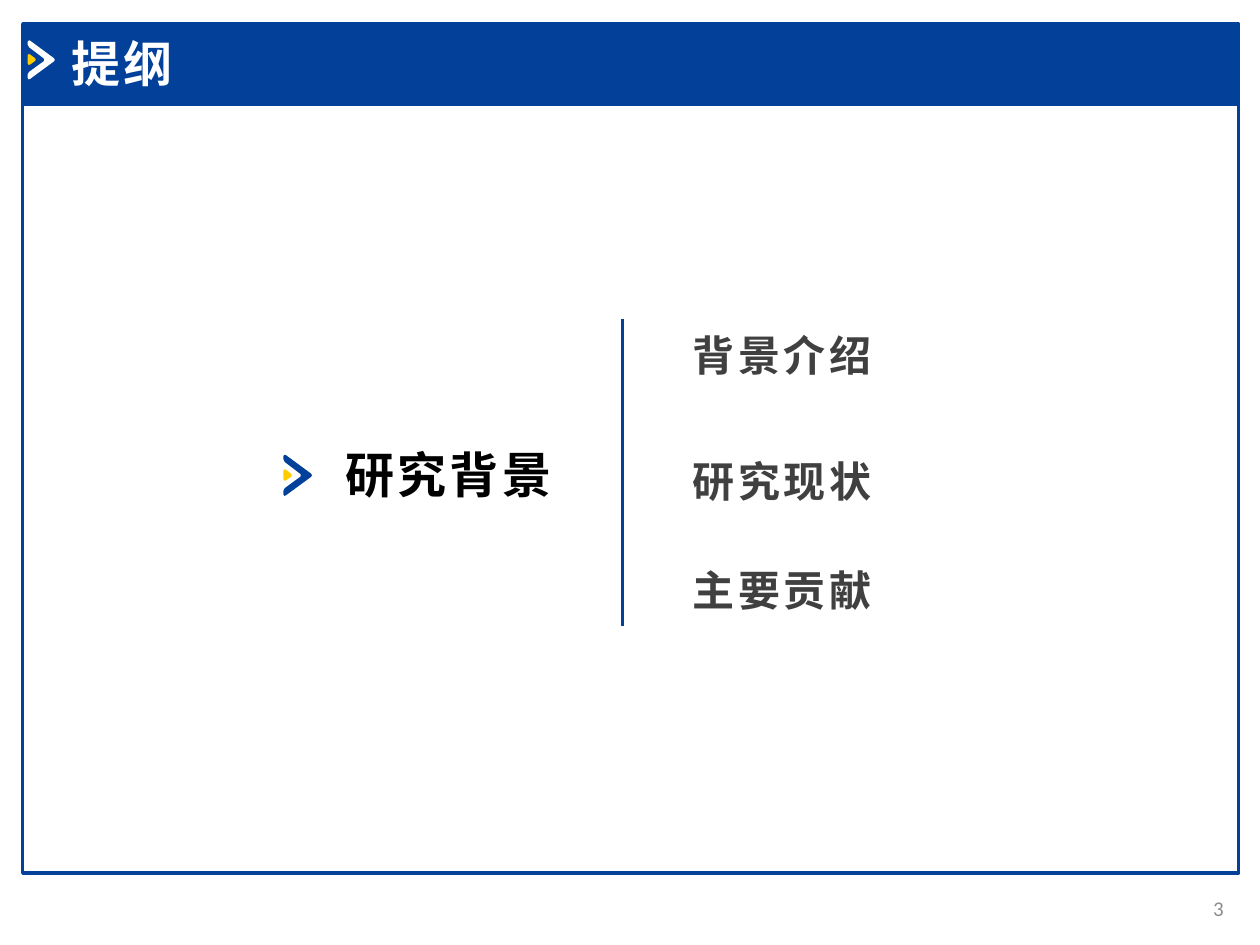
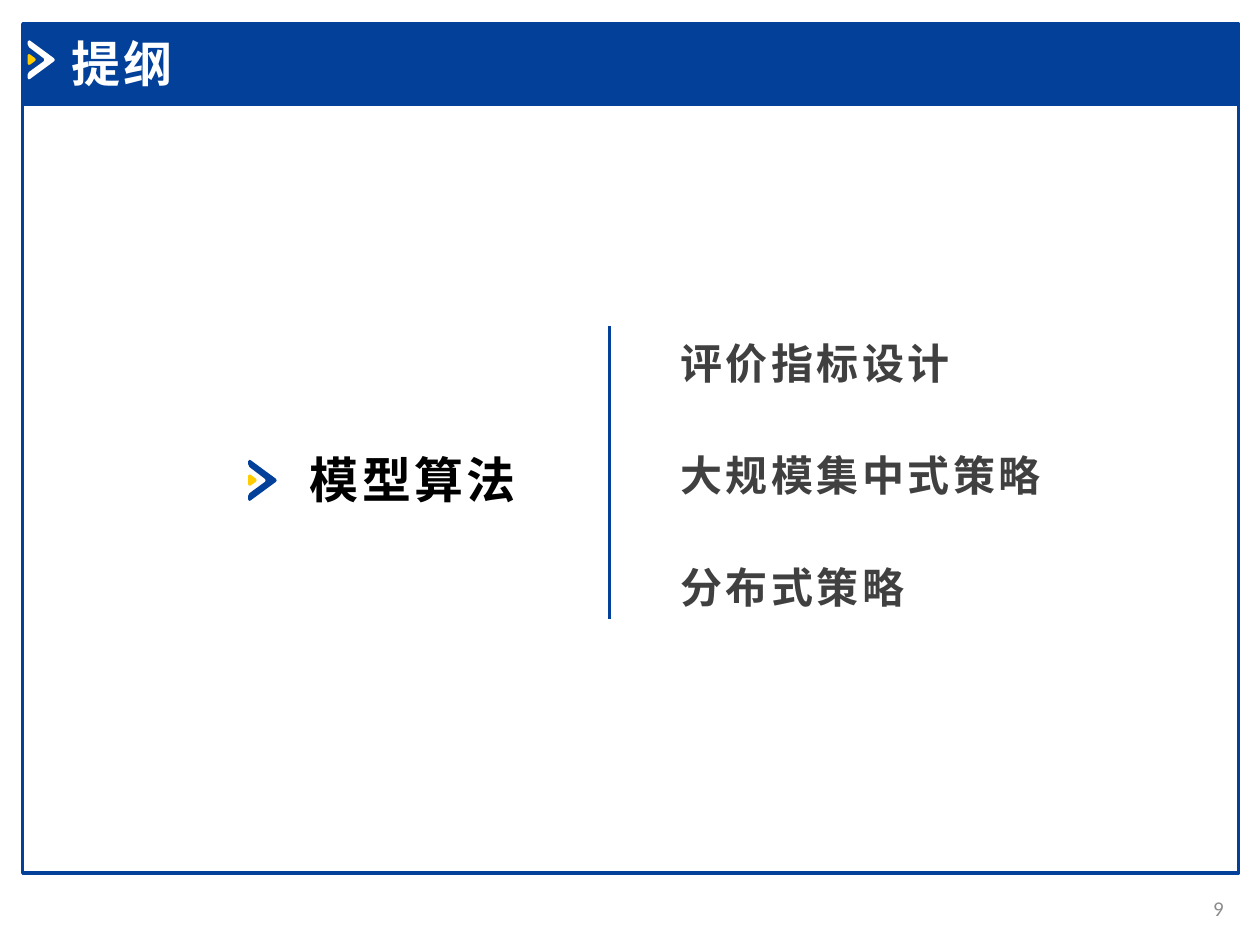
"""Build two outline slides with a shared title band, frame and page number."""
from lxml.etree import SubElement
from pptx import Presentation
from pptx.dml.color import RGBColor
from pptx.enum.shapes import MSO_CONNECTOR as Connector, MSO_SHAPE as Shape
from pptx.enum.text import MSO_ANCHOR as Anchor, MSO_AUTO_SIZE as AutoSize, PP_ALIGN as Align
from pptx.oxml.ns import qn
from pptx.util import Inches, Pt

BLUE, YELLOW, WHITE, BLACK = "02409A", "FFCC00", "FFFFFF", "000000"
DARK_GREY, LIGHT_GREY = "404040", "8C8C8C"
LATIN, CHINESE = "Calibri", "Noto Sans CJK SC"

TITLE = "提纲"
SECTIONS = [
    {
        "page": "3", "heading": "研究背景", "heading_at": (2.64, 3.48),
        "rule": (4.94, 2.53, 4.97),
        "topics": [("背景介绍", 2.57), ("研究现状", 3.57), ("主要贡献", 4.43)],
    },
    {
        "page": "9", "heading": "模型算法", "heading_at": (2.36, 3.52),
        "rule": (4.84, 2.59, 4.91),
        "topics": [("评价指标设计", 2.63), ("大规模集中式策略", 3.52), ("分布式策略", 4.41)],
    },
]

TITLE_STYLE = {"name": LATIN, "size": Pt(28), "bold": True}
HEADING_STYLE = {"name": CHINESE, "size": Pt(28), "bold": True}
TOPIC_STYLE = {"name": CHINESE, "size": Pt(24), "bold": True}
PAGE_STYLE = {"name": LATIN, "size": Pt(12), "bold": False}

FRAME_LEFT, FRAME_WIDTH = 0.18, 9.65
BANDS = [(0.83, 6.1, None), (0.19, 0.64, BLUE)]
TOPIC_INDENT = 0.46

ARROW = [(10, 0), (0, 10), (0, 35), (10, 57), (135, 152), (138, 163), (135, 174), (10, 265),
         (0, 285), (0, 315), (8, 326), (20, 322), (220, 175), (226, 163), (220, 150), (20, 3)]
ARROW_CORE = [(8, 115), (0, 125), (0, 195), (8, 205), (20, 203), (62, 173), (67, 161),
              (62, 150), (20, 118)]


def color(hex_value):
    return RGBColor.from_string(hex_value)


def add_text(slide, text, box, style, text_color, spacing=2, align=Align.LEFT,
             anchor=Anchor.TOP, auto_size=AutoSize.SHAPE_TO_FIT_TEXT):
    frame = slide.shapes.add_textbox(*map(Inches, box)).text_frame
    for name, value in {"word_wrap": True, "auto_size": auto_size,
                        "vertical_anchor": anchor}.items():
        setattr(frame, name, value)
    paragraph = frame.paragraphs[0]
    paragraph.alignment = align
    run = paragraph.add_run()
    run.text = text
    for name, value in style.items():
        setattr(run.font, name, value)
    run.font.color.rgb = color(text_color)
    properties = run._r.get_or_add_rPr()
    properties.set("spc", str(spacing * 100))
    SubElement(properties, qn("a:ea")).set("typeface", CHINESE)


def add_outline(slide, points, left, top, scale, fill):
    builder = slide.shapes.build_freeform(*points[0], scale=Inches(scale) / 1000)
    builder.add_line_segments(points[1:], close=True)
    shape = builder.convert_to_shape(Inches(left), Inches(top))
    shape.shadow.inherit = False
    shape.fill.solid()
    shape.fill.fore_color.rgb = color(fill)
    shape.line.fill.background()


def add_chevron(slide, left, top, fill, scale=1):
    add_outline(slide, ARROW, left, top, scale, fill)
    add_outline(slide, ARROW_CORE, left, top, scale, YELLOW)


def add_rule(slide, x, top, bottom):
    rule = slide.shapes.add_connector(Connector.STRAIGHT, *map(Inches, (x, top, x, bottom)))
    rule.line.color.rgb = color(BLUE)
    rule.line.width = Pt(1.5)
    SubElement(rule._element.spPr, qn("a:effectLst"))


def add_base(slide, page):
    for top, height, fill in BANDS:
        box = (FRAME_LEFT, top, FRAME_WIDTH, height)
        band = slide.shapes.add_shape(Shape.RECTANGLE, *map(Inches, box))
        band.shadow.inherit = False
        band.line.color.rgb = color(BLUE)
        band.line.width = Pt(2)
        if fill:
            band.fill.solid()
            band.fill.fore_color.rgb = color(fill)
        else:
            band.fill.background()
    add_chevron(slide, 0.22, 0.32, WHITE, scale=0.95)
    add_text(slide, TITLE, (0.47, 0.22, 3.56, 0.57), TITLE_STYLE, WHITE)
    add_text(slide, page, (9.22, 7.01, 0.59, 0.4), PAGE_STYLE, LIGHT_GREY, spacing=0,
             align=Align.RIGHT, anchor=Anchor.MIDDLE, auto_size=AutoSize.NONE)


def add_section(slide, section):
    left, top = section["heading_at"]
    add_text(slide, section["heading"], (left, top, 2.15, 0.57), HEADING_STYLE, BLACK)
    add_chevron(slide, left - 0.39, top + 0.13, BLUE)
    add_rule(slide, *section["rule"])
    topic_left = section["rule"][0] + TOPIC_INDENT
    for topic, topic_top in section["topics"]:
        add_text(slide, topic, (topic_left, topic_top, 3.14, 0.5), TOPIC_STYLE, DARK_GREY)


def main():
    presentation = Presentation()
    presentation.slide_width, presentation.slide_height = Inches(10), Inches(7.5)
    for section in SECTIONS:
        slide = presentation.slides.add_slide(presentation.slide_layouts[6])
        add_base(slide, section["page"])
        add_section(slide, section)
    presentation.save("out.pptx")


if __name__ == "__main__":
    main()
